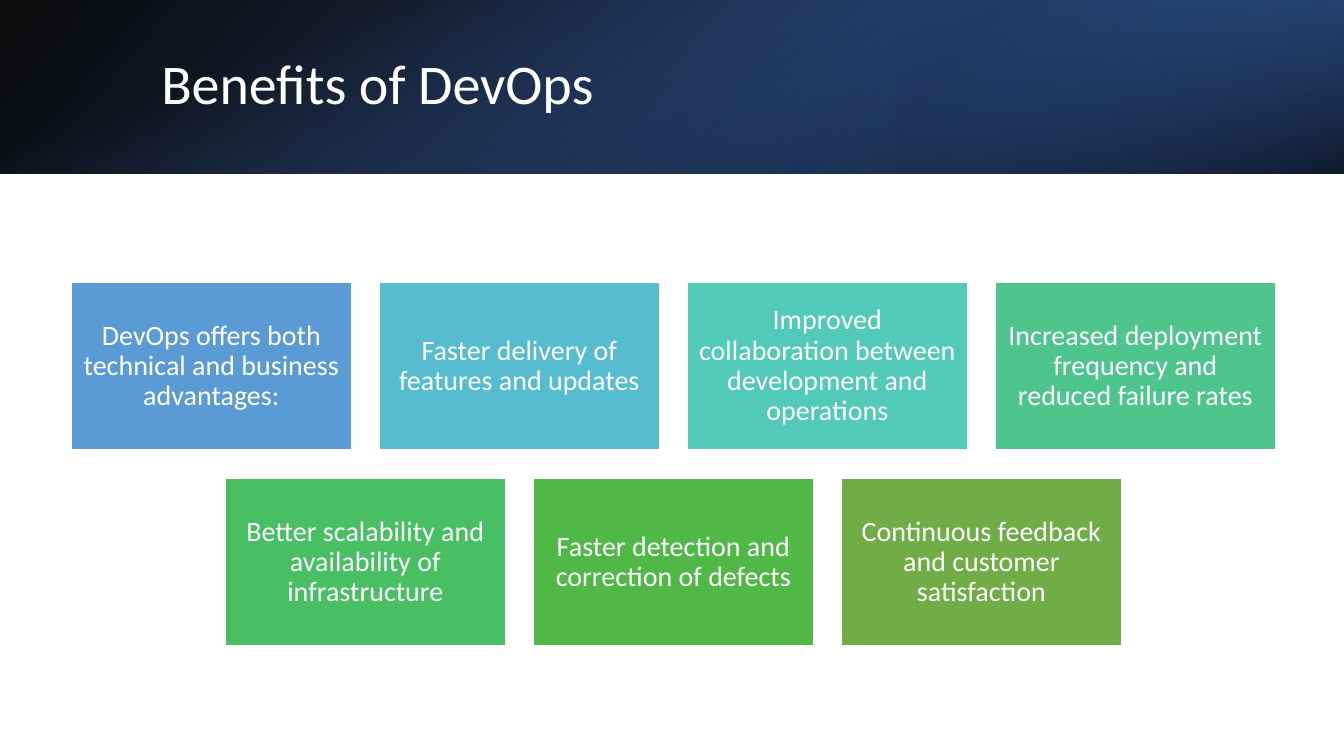
from dataclasses import dataclass

from lxml import etree
from pptx import Presentation
from pptx.dml.color import RGBColor
from pptx.enum import shapes, text
from pptx.oxml import ns
from pptx.shapes.autoshape import Shape
from pptx.slide import Slide
from pptx.util import Pt

WIDE, HIGH = 960, 540
BAND = 124
BOX_W, BOX_H, GAP = 200, 120, 20
MID, TOP = 481, 201.6
WHITE = "FFFFFF"


@dataclass
class Stop:
    pos: int
    color: str
    alpha: int


@dataclass
class Band:
    left: float
    top: float
    width: float
    height: float
    angle: int
    stops: list[Stop]
    turn: int = 0
    flip: bool = False


@dataclass
class Card:
    label: str
    color: str


BANDS = [
    Band(0, 0, WIDE, BAND, 140,
         [Stop(0, "000000", 96), Stop(100, "2F5597", 100)], flip=True),
    Band(640, 0, 320, BAND, 320,
         [Stop(19, "203864", 68), Stop(100, "4472C4", 79)], turn=180, flip=True),
    Band((WIDE - BAND) / 2, (BAND - WIDE) / 2, BAND, WIDE, 340,
         [Stop(23, "4472C4", 0), Stop(99, "000000", 74)], turn=90),
]

ROWS = [
    [
        Card("DevOps offers both technical and business advantages:", "5B9BD5"),
        Card("Faster delivery of features and updates", "56BCD0"),
        Card("Improved collaboration between development and operations", "52CAB8"),
        Card("Increased deployment frequency and reduced failure rates", "4DC58D"),
    ],
    [
        Card("Better scalability and availability of infrastructure", "49BF64"),
        Card("Faster detection and correction of defects", "50B846"),
        Card("Continuous feedback and customer satisfaction", "70AD47"),
    ],
]


def rgb(color: str) -> RGBColor:
    return RGBColor.from_string(color)


def add_rect(slide: Slide, left: float, top: float, width: float, height: float) -> Shape:
    rect = slide.shapes.add_shape(
        shapes.MSO_SHAPE.RECTANGLE, Pt(left), Pt(top), Pt(width), Pt(height))
    rect.shadow.inherit = False
    return rect


def set_text(shape: Shape, label: str, size: int, align: text.PP_ALIGN) -> None:
    frame = shape.text_frame
    frame.text = label
    frame.word_wrap = True
    frame.vertical_anchor = text.MSO_ANCHOR.MIDDLE
    para = frame.paragraphs[0]
    para.alignment = align
    para.line_spacing = 0.9
    para.font.name = "Calibri"
    para.font.size = Pt(size)
    para.font.color.rgb = rgb(WHITE)


def set_grad(shape: Shape, angle: int, stops: list[Stop]) -> None:
    shape.fill.gradient()
    grad = shape.element.spPr.find(ns.qn("a:gradFill"))
    for child in list(grad):
        grad.remove(child)
    items = etree.SubElement(grad, ns.qn("a:gsLst"))
    for stop in stops:
        item = etree.SubElement(items, ns.qn("a:gs"), pos=str(stop.pos * 1000))
        color = etree.SubElement(item, ns.qn("a:srgbClr"), val=stop.color)
        etree.SubElement(color, ns.qn("a:alpha"), val=str(stop.alpha * 1000))
    etree.SubElement(grad, ns.qn("a:lin"), ang=str(angle * 60000), scaled="0")


def add_band(slide: Slide, band: Band) -> None:
    rect = add_rect(slide, band.left, band.top, band.width, band.height)
    rect.rotation = band.turn
    if band.flip:
        rect.element.spPr.find(ns.qn("a:xfrm")).set("flipH", "1")
    set_grad(rect, band.angle, band.stops)
    rect.line.fill.background()
    slide.shapes.title.element.addprevious(rect.element)


def add_card(slide: Slide, card: Card, left: float, top: float) -> None:
    rect = add_rect(slide, left, top, BOX_W, BOX_H)
    rect.fill.solid()
    rect.fill.fore_color.rgb = rgb(card.color)
    rect.line.color.rgb = rgb(WHITE)
    rect.line.width = Pt(1)
    frame = rect.text_frame
    frame.margin_left = frame.margin_right = Pt(6)
    frame.margin_top = frame.margin_bottom = Pt(6)
    set_text(rect, card.label, 20, text.PP_ALIGN.CENTER)


def main() -> None:
    deck = Presentation()
    deck.slide_width, deck.slide_height = Pt(WIDE), Pt(HIGH)
    slide = deck.slides.add_slide(deck.slide_layouts.get_by_name("Title Only"))

    title = slide.shapes.title
    title.left, title.top = Pt(108), Pt(27.2)
    title.width, title.height = Pt(790.5), Pt(69)
    set_text(title, "Benefits of DevOps", 40, text.PP_ALIGN.LEFT)

    for band in BANDS:
        add_band(slide, band)
    for row, cards in enumerate(ROWS):
        start = MID - (len(cards) * (BOX_W + GAP) - GAP) / 2
        for col, card in enumerate(cards):
            add_card(slide, card, start + col * (BOX_W + GAP), TOP + row * (BOX_H + GAP))

    deck.save("out.pptx")


if __name__ == "__main__":
    main()
